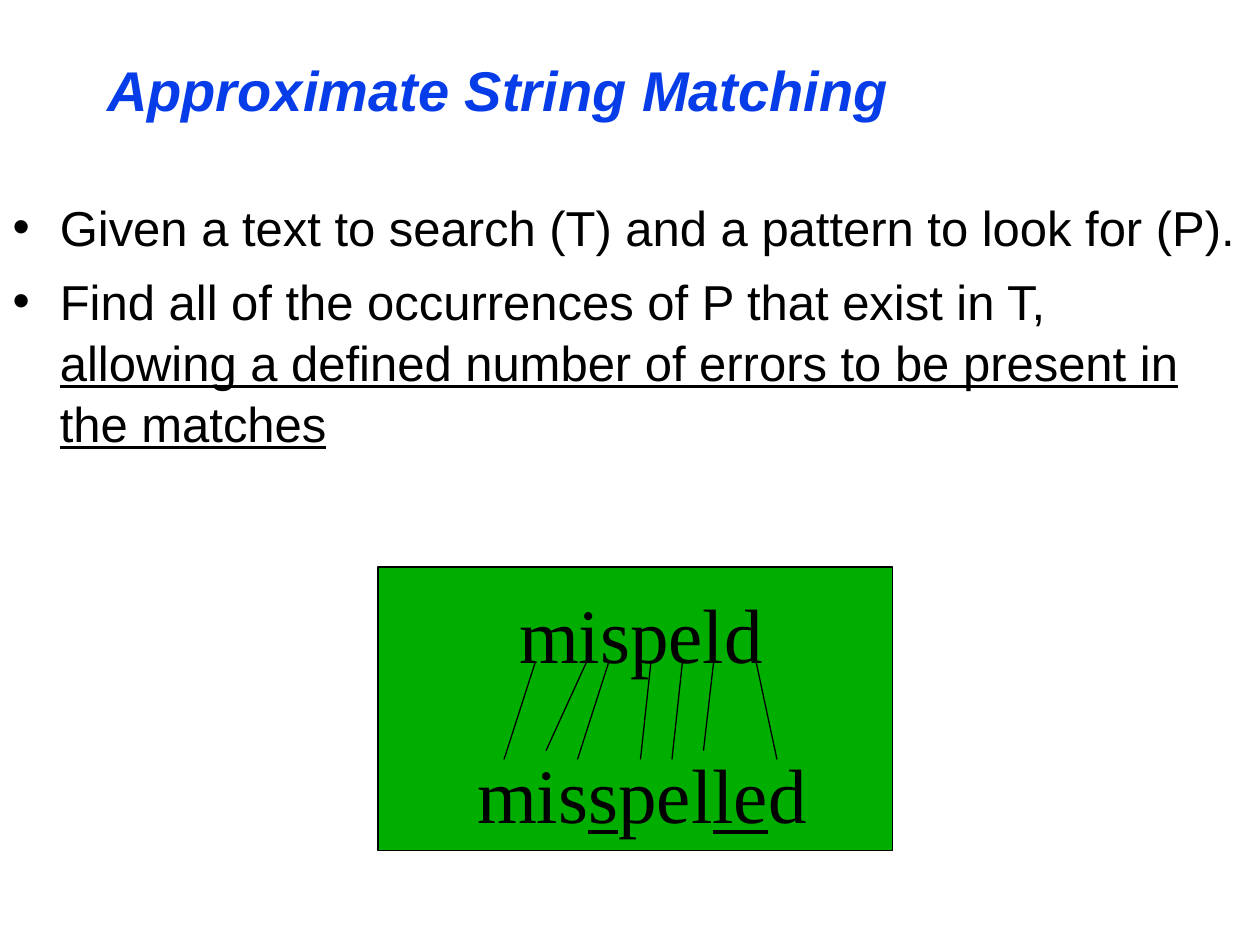
import pptx
import pptx.util
import pptx.dml.color
import pptx.enum.shapes
import pptx.enum.text
import pptx.oxml
import lxml.etree
from dataclasses import dataclass

Pt = pptx.util.Pt
Color = pptx.dml.color.RGBColor.from_string
Text = pptx.enum.text


@dataclass
class Theme:
    ink: str = "000000"
    head: str = "063DE8"
    panel: str = "00AE00"
    sans: str = "Arial"
    serif: str = "Times New Roman"
    title: int = 32
    body: int = 28
    word: int = 44
    line: float = 0.75


theme = Theme()


def place(shape, box):
    shape.left, shape.top, shape.width, shape.height = map(Pt, box)


def style(run, name, size, color, under=False):
    font = run.font
    font.name, font.size, font.underline = name, Pt(size), under
    font.color.rgb = Color(color)


def setup(frame, anchor):
    frame.word_wrap = True
    frame.auto_size = Text.MSO_AUTO_SIZE.NONE
    frame.vertical_anchor = anchor


def add_title(slide, box, text):
    shape = slide.shapes.title
    place(shape, box)
    frame = shape.text_frame
    setup(frame, Text.MSO_ANCHOR.MIDDLE)
    frame.text = text
    para = frame.paragraphs[0]
    para.alignment = Text.PP_ALIGN.LEFT
    run = para.runs[0]
    style(run, theme.sans, theme.title, theme.head)
    run.font.bold = run.font.italic = True


def add_list(slide, box, items):
    shape = slide.placeholders[1]
    place(shape, box)
    frame = shape.text_frame
    setup(frame, Text.MSO_ANCHOR.TOP)
    for i, (plain, under) in enumerate(items):
        para = frame.add_paragraph() if i else frame.paragraphs[0]
        para.text = plain
        if under:
            para.add_line_break()
            para.add_run().text = under
        para.space_before = Pt(7)
        para.line_spacing = 1.04
        props = para._p.get_or_add_pPr()
        props.set("marL", str(Pt(27)))
        props.set("indent", str(-Pt(27)))
        for run in para.runs:
            style(run, theme.sans, theme.body, theme.ink, run.text == under)


def add_word(group, box, parts):
    shape = group.shapes.add_textbox(*map(Pt, box))
    frame = shape.text_frame
    setup(frame, Text.MSO_ANCHOR.TOP)
    frame.margin_top = Pt(8)
    para = frame.paragraphs[0]
    for i, part in enumerate(parts):
        run = para.add_run()
        run.text = part
        style(run, theme.serif, theme.word, theme.ink, i % 2 == 1)


def add_link(group, start, end):
    link = group.shapes.add_connector(
        pptx.enum.shapes.MSO_CONNECTOR.STRAIGHT, *map(Pt, start + end))
    link.line.color.rgb = Color(theme.ink)
    link.line.width = Pt(theme.line)
    lxml.etree.SubElement(link._element.spPr, pptx.oxml.ns.qn("a:effectLst"))


def add_match(slide, box):
    left, top, wide, high = box
    group = slide.shapes.add_group_shape()
    panel = group.shapes.add_shape(
        pptx.enum.shapes.MSO_SHAPE.RECTANGLE, *map(Pt, box))
    panel.shadow.inherit = False
    panel.fill.solid()
    panel.fill.fore_color.rgb = Color(theme.panel)
    panel.line.color.rgb = Color(theme.ink)
    panel.line.width = Pt(theme.line)
    add_word(group, (left + 73.5, top + 3, 162, 60.5), ["mispeld"])
    add_word(group, (left + 49.5, top + 94.5, 204, 60.5),
             ["mis", "s", "pel", "le", "d"])
    tall, short = (54, 110), (52.5, 105)
    links = [(90, 72, tall), (120, 96, short), (132, 114, tall),
             (156, 150, tall), (174, 168, tall), (192, 186, short),
             (216, 228, tall)]
    for x1, x2, (y1, y2) in links:
        add_link(group, (left + x1, top + y1), (left + x2, top + y2))


def main():
    deck = pptx.Presentation()
    deck.slide_width, deck.slide_height = Pt(720), Pt(540)
    slide = deck.slides.add_slide(deck.slide_layouts[1])
    add_title(slide, (54, 24, 612, 54), "Approximate String Matching")
    add_list(slide, (0, 108, 720, 222), [
        ("Given a text to search (T) and a pattern to look for (P).", ""),
        ("Find all of the occurrences of P that exist in T,",
         "allowing a defined number of errors to be present in the matches"),
    ])
    add_match(slide, (216, 324, 294, 162))
    deck.save("out.pptx")


if __name__ == "__main__":
    main()
